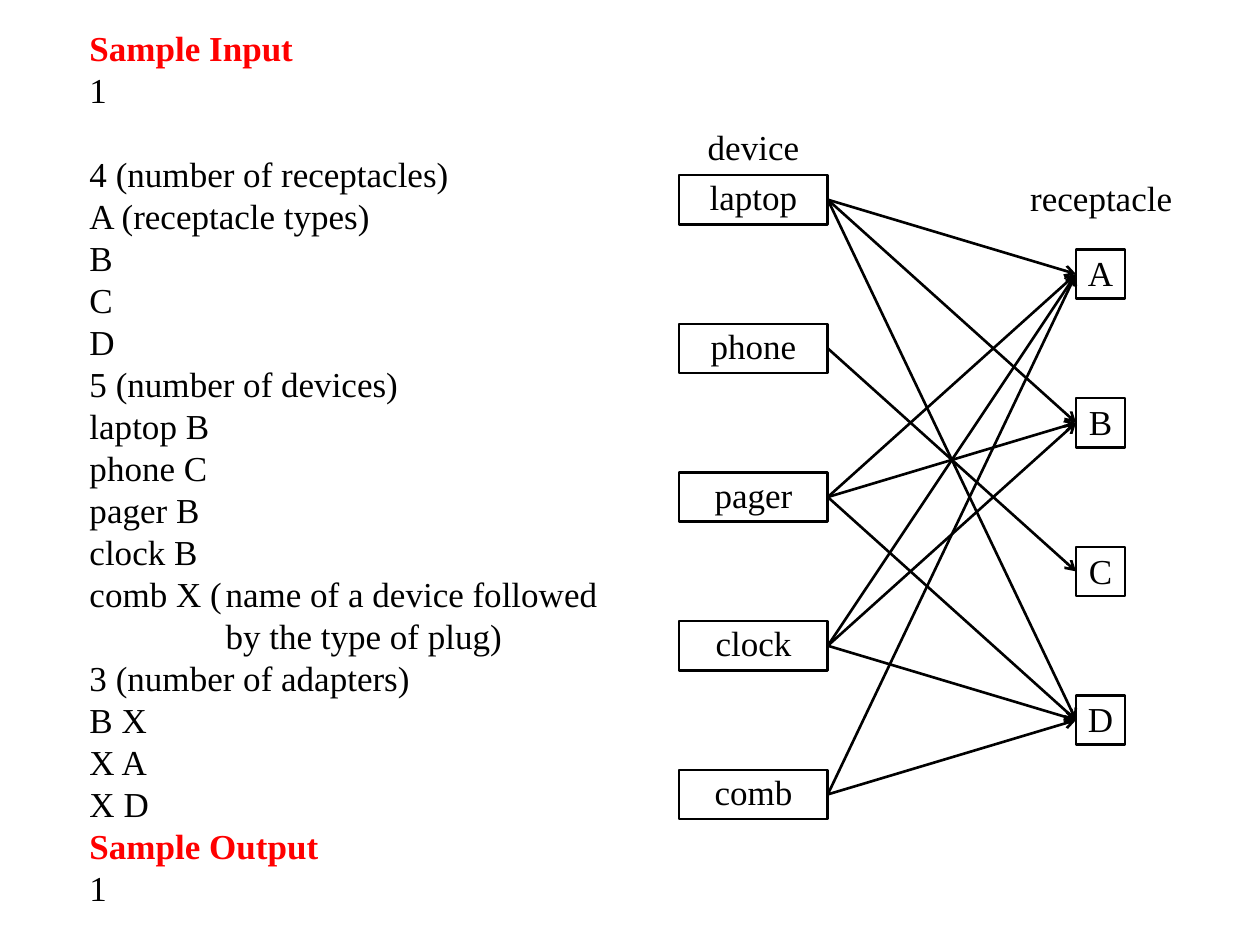
from lxml import etree
from pptx import Presentation, util as u
from pptx.dml.color import RGBColor
from pptx.enum import shapes, text
from pptx.oxml.ns import qn

BLACK, WHITE, RED = "000000", "FFFFFF", "FF0000"
BOX_H, PITCH = 0.39, 1.18
DEVICE_X, DEVICE_W = 5.39, 1.18
RECEPTACLE_X = 8.54
TOP = 1.39
HEADINGS = ("Sample Input", "Sample Output")
SAMPLE = [
    "Sample Input", "1",
    "4 (number of receptacles)", "A (receptacle types)", "B", "C", "D",
    "5 (number of devices)", "laptop B", "phone C", "pager B", "clock B",
    "comb X (\tname of a device followed by the type of plug)",
    "3 (number of adapters)", "B X", "X A", "X D",
    "Sample Output", "1",
]
FITS = {"laptop": "ABD", "phone": "C", "pager": "ABD", "clock": "ABD", "comb": "AD"}


def color(value):
    return RGBColor.from_string(value)


class Diagram:
    font, size, line_width = "Times New Roman", 20, 1.5

    def __init__(self, slide):
        self.s = slide

    def format_text(self, p, value=BLACK, bold=False):
        p.font.name, p.font.size, p.font.bold = self.font, u.Pt(self.size), bold
        p.font.color.rgb = color(value)

    def set_frame(self, tf, side, bottom, anchor=text.MSO_ANCHOR.MIDDLE, wrap=True):
        tf.auto_size, tf.word_wrap = text.MSO_AUTO_SIZE.NONE, wrap
        tf.margin_left = tf.margin_right = u.Inches(side)
        tf.margin_top, tf.margin_bottom = 0, u.Inches(bottom)
        tf.vertical_anchor = anchor

    def listing(self, sp, lines, x, y, w, h):
        """Fill the body placeholder with hanging, unbulleted lines."""
        sp.left, sp.top, sp.width, sp.height = map(u.Inches, (x, y, w, h))
        tf = sp.text_frame
        self.set_frame(tf, 0.04, 0.05, text.MSO_ANCHOR.TOP)
        tf.text = "\n".join(lines)
        hang = u.Inches(1.08)
        for p in tf.paragraphs:
            heading = p.text in HEADINGS
            self.format_text(p, RED if heading else BLACK, heading)
            p.line_spacing = u.Pt(24)
            p.space_before = u.Pt(24 if p.text.startswith("4") else 0)
            pPr = p._p.get_or_add_pPr()
            pPr.set("marL", str(hang))
            pPr.set("indent", str(-hang))
            pPr.insert_element_before(
                pPr.makeelement(qn("a:buNone")), "a:tabLst", "a:defRPr", "a:extLst")

    def centered(self, sp, label):
        p = sp.text_frame.paragraphs[0]
        p.text, p.alignment = label, text.PP_ALIGN.CENTER
        self.format_text(p)

    def label(self, words, x, y):
        sp = self.s.shapes.add_textbox(*map(u.Inches, (x, y, DEVICE_W, BOX_H)))
        self.set_frame(sp.text_frame, 0, 0.04, wrap=False)
        self.centered(sp, words)

    def box(self, words, x, y, w, bottom):
        sp = self.s.shapes.add_shape(
            shapes.MSO_SHAPE.RECTANGLE, *map(u.Inches, (x, y, w, BOX_H)))
        sp.shadow.inherit = False
        sp.fill.solid()
        sp.fill.fore_color.rgb = color(WHITE)
        sp.line.color.rgb = color(BLACK)
        sp.line.width = u.Pt(self.line_width)
        self.set_frame(sp.text_frame, 0.1, bottom, wrap=len(words) > 1)
        self.centered(sp, words)
        return sp

    def arrow(self, start, end):
        """Join the right side of start to the left side of end."""
        c = self.s.shapes.add_connector(shapes.MSO_CONNECTOR.STRAIGHT, 0, 0, 0, 0)
        c.begin_connect(start, 3)
        c.end_connect(end, 1)
        c.line.color.rgb = color(BLACK)
        c.line.width = u.Pt(self.line_width)
        etree.SubElement(c.line._get_or_add_ln(), qn("a:tailEnd"), type="arrow")
        etree.SubElement(c._element.spPr, qn("a:effectLst"))


def main():
    prs = Presentation()
    prs.slide_width, prs.slide_height = u.Inches(10), u.Inches(7.5)
    s = prs.slides.add_slide(prs.slide_layouts[1])
    title = s.shapes.title._element
    title.getparent().remove(title)

    d = Diagram(s)
    d.listing(s.placeholders[1], SAMPLE, 0.67, 0.21, 4.33, 7.09)
    devices = {name: d.box(name, DEVICE_X, TOP + i * PITCH, DEVICE_W, 0.05)
               for i, name in enumerate(FITS)}
    d.label("receptacle", 8.15, TOP)
    d.label("device", DEVICE_X, TOP - 0.4)
    receptacles = {name: d.box(name, RECEPTACLE_X, TOP + 0.59 + i * PITCH, BOX_H, 0.02)
                   for i, name in enumerate("ABCD")}
    for device, fits in FITS.items():
        for receptacle in fits:
            d.arrow(devices[device], receptacles[receptacle])
    prs.save("out.pptx")


if __name__ == "__main__":
    main()
